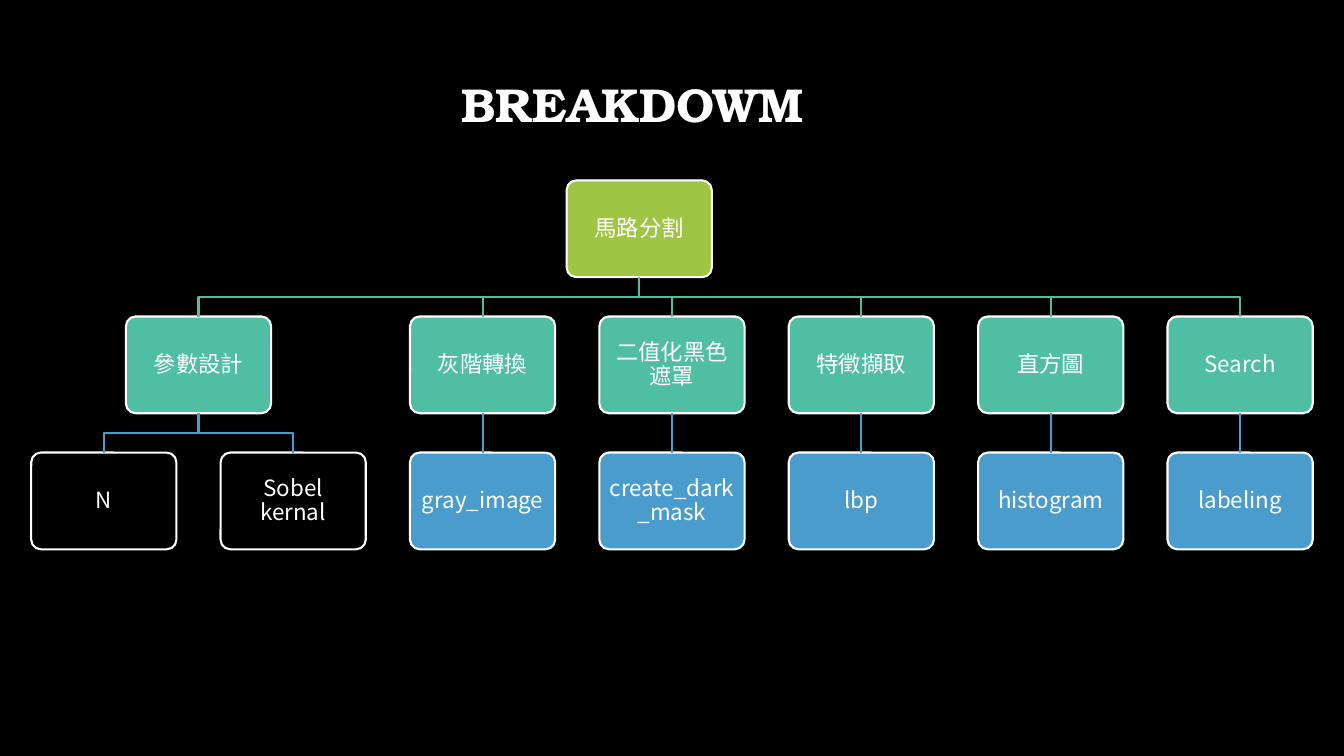
from dataclasses import dataclass, field

from lxml import etree
from pptx import Presentation
from pptx.dml.color import RGBColor
from pptx.enum.shapes import MSO_CONNECTOR, MSO_SHAPE
from pptx.enum.text import MSO_ANCHOR, PP_ALIGN
from pptx.oxml.ns import qn
from pptx.util import Inches, Pt

ROUNDED = MSO_SHAPE.ROUNDED_RECTANGLE
STRAIGHT = MSO_CONNECTOR.STRAIGHT
MIDDLE = MSO_ANCHOR.MIDDLE
CENTER = PP_ALIGN.CENTER
TOP_SITE, BOTTOM_SITE = 0, 2

WHITE, BLACK = "FFFFFF", "000000"
LIME, TEAL, BLUE = "9EC544", "50BEA3", "4A9CCC"
BODY_FONT, TITLE_FONT = "Noto Sans CJK SC", "TeX Gyre Bonum"

BOX_W, BOX_H = 1.44, 0.96
LEVEL_TOPS = (1.79, 3.14, 4.49)
LINK_COLORS = (TEAL, BLUE)
FIRST_X, LAST_X, LAST_COLUMN = 1.03, 12.3, 6
ROOT_X = 6.34


@dataclass
class Node:
    text: str
    fill: str
    x: float
    children: list["Node"] = field(default_factory=list)


def column_x(column: int) -> float:
    return FIRST_X + column * (LAST_X - FIRST_X) / LAST_COLUMN


def build_tree() -> Node:
    phases = [
        ("參數設計", BLACK, ["N", "Sobel kernal"]),
        ("灰階轉換", BLUE, ["gray_image"]),
        ("二值化黑色遮罩", BLUE, ["create_dark_mask"]),
        ("特徵擷取", BLUE, ["lbp"]),
        ("直方圖", BLUE, ["histogram"]),
        ("Search", BLUE, ["labeling"]),
    ]
    root = Node("馬路分割", LIME, ROOT_X)
    column = 0
    for text, leaf_fill, leaf_texts in phases:
        leaves = [Node(leaf, leaf_fill, column_x(column + i))
                  for i, leaf in enumerate(leaf_texts)]
        column += len(leaves)
        middle = (leaves[0].x + leaves[-1].x) / 2
        root.children.append(Node(text, TEAL, middle, leaves))
    return root


def rgb(value: str) -> RGBColor:
    return RGBColor.from_string(value)


def set_text(sp, text: str, size: float, font: str, bold: bool = False) -> None:
    tf = sp.text_frame
    tf.word_wrap = True
    tf.vertical_anchor = MIDDLE
    p = tf.paragraphs[0]
    p.text = text
    p.alignment = CENTER
    p.line_spacing = 0.9
    p.font.size = Pt(size)
    p.font.name = font
    p.font.bold = bold
    p.font.color.rgb = rgb(WHITE)
    # Chinese characters take the East Asian typeface
    latin = p._p.pPr.find(qn("a:defRPr")).find(qn("a:latin"))
    east_asian = etree.Element(qn("a:ea"), typeface=font)
    latin.addnext(east_asian)


def add_box(s, node: Node, level: int):
    sp = s.shapes.add_shape(ROUNDED, Inches(node.x - BOX_W / 2), Inches(LEVEL_TOPS[level]),
                            Inches(BOX_W), Inches(BOX_H))
    sp.adjustments[0] = 0.1
    sp.shadow.inherit = False
    sp.fill.solid()
    sp.fill.fore_color.rgb = rgb(node.fill)
    sp.line.color.rgb = rgb(WHITE)
    sp.line.width = Pt(1.5)
    tf = sp.text_frame
    tf.margin_left = tf.margin_right = tf.margin_top = tf.margin_bottom = Inches(0.07)
    set_text(sp, node.text, 16, BODY_FONT)
    return sp


def add_straight_link(s, parent, child):
    link = s.shapes.add_connector(STRAIGHT, 0, 0, 0, 0)
    link.begin_connect(parent, BOTTOM_SITE)
    link.end_connect(child, TOP_SITE)
    etree.SubElement(link._element.spPr, qn("a:effectLst"))
    return link


def add_bent_link(s, parent, child):
    start_x, end_x = (sp.left + sp.width // 2 for sp in (parent, child))
    start_y, end_y = parent.top + parent.height, child.top
    middle_y = (start_y + end_y) // 2
    builder = s.shapes.build_freeform(start_x, start_y)
    builder.add_line_segments([(start_x, middle_y), (end_x, middle_y), (end_x, end_y)],
                              close=False)
    link = builder.convert_to_shape()
    link.shadow.inherit = False
    link.fill.background()
    return link


def add_branch(s, node: Node, level: int = 0):
    """Draw a node with everything below it and return its box."""
    box = add_box(s, node, level)
    for child in node.children:
        child_box = add_branch(s, child, level + 1)
        add_link = add_straight_link if child.x == node.x else add_bent_link
        link = add_link(s, box, child_box)
        link.line.color.rgb = rgb(LINK_COLORS[level])
        link.line.width = Pt(1.5)
    return box


def main() -> None:
    prs = Presentation()
    prs.slide_width, prs.slide_height = Inches(13.33), Inches(7.5)
    s = prs.slides.add_slide(prs.slide_layouts[6])
    s.background.fill.solid()
    s.background.fill.fore_color.rgb = rgb(BLACK)
    title = s.shapes.add_textbox(Inches(0.61), Inches(0.34), Inches(11.32), Inches(1.45))
    set_text(title, "BREAKDOWM", 34, TITLE_FONT, bold=True)
    add_branch(s, build_tree())
    prs.save("out.pptx")


if __name__ == "__main__":
    main()
